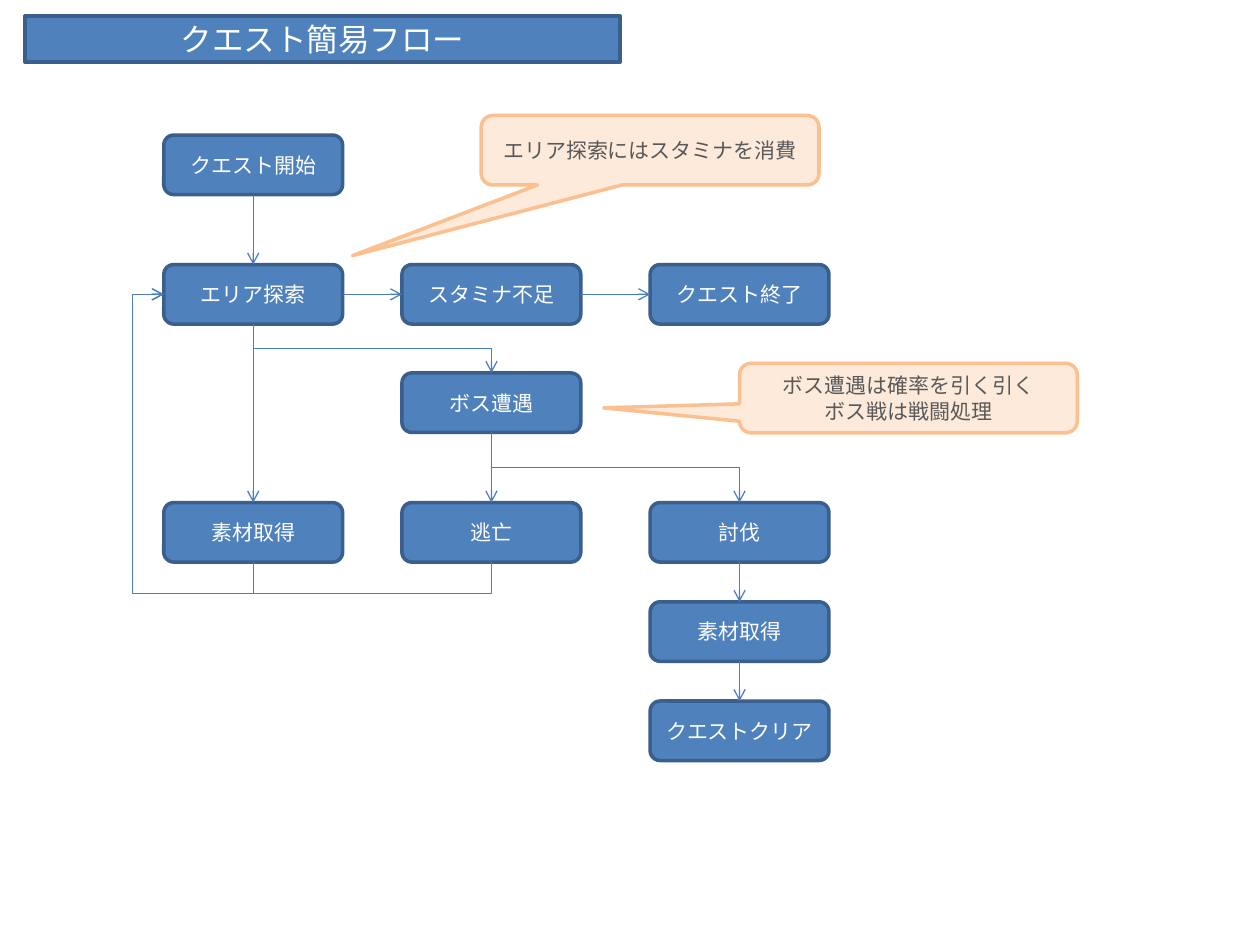
"""Build the quest flow slide."""
from lxml import etree
from pptx import Presentation
from pptx import util as u
from pptx.dml.color import RGBColor
from pptx.enum import shapes, text
from pptx.oxml import ns

Pt = u.Pt
BLUE = RGBColor(0x4F, 0x81, 0xBD)
NAVY = RGBColor(0x3A, 0x5F, 0x8C)
WIRE = RGBColor(0x4B, 0x7E, 0xBC)
PEACH = RGBColor(0xFD, 0xEA, 0xDA)
AMBER = RGBColor(0xFA, 0xC0, 0x90)
GREY = RGBColor(0x59, 0x59, 0x59)
WHITE = RGBColor(0xFF, 0xFF, 0xFF)

COLS = (93.6, 229.7, 371.5)
ROWS = (77.2, 151.2, 213.1, 287.2, 343.9, 400.6)
BOX = (102.2, 34)
GAP = Pt(18)
TOP, LEFT, LOW, RIGHT = range(4)
KIND = shapes.MSO_SHAPE
WIRES = shapes.MSO_CONNECTOR

STEPS = {
    "start": ("クエスト開始", 0, 0),
    "search": ("エリア探索", 0, 1),
    "tired": ("スタミナ不足", 1, 1),
    "end": ("クエスト終了", 2, 1),
    "boss": ("ボス遭遇", 1, 2),
    "loot": ("素材取得", 0, 3),
    "flee": ("逃亡", 1, 3),
    "kill": ("討伐", 2, 3),
    "prize": ("素材取得", 2, 4),
    "clear": ("クエストクリア", 2, 5),
}
DOWN = (("start", "search"), ("search", "loot"), ("boss", "flee"),
        ("kill", "prize"), ("prize", "clear"))
ACROSS = (("search", "tired"), ("tired", "end"))
FORKS = (("search", "boss"), ("boss", "kill"))
LOOPS = (("flee", "search"), ("loot", "search"))
NOTES = (
    ("エリア探索にはスタミナを消費", 275, 66, (-0.881, 1.517, 0.167)),
    ("ボス遭遇は確率を引く引く\nボス戦は戦闘処理", 422.6, 207.6, (-0.902, 0.141, 0.167)),
)


def apply(item, form):
    """Set attributes of an item from a dict."""
    for name, value in form.items():
        setattr(item, name, value)


def paint(shape, words, fill, edge, ink, size):
    """Fill, outline and letter a shape."""
    shape.shadow.inherit = False
    shape.fill.solid()
    shape.fill.fore_color.rgb = fill
    shape.line.color.rgb = edge
    shape.line.width = Pt(2)
    frame = shape.text_frame
    frame.text = words
    apply(frame, {"word_wrap": True, "auto_size": text.MSO_AUTO_SIZE.NONE,
                  "vertical_anchor": text.MSO_ANCHOR.MIDDLE})
    for para in frame.paragraphs:
        para.alignment = text.PP_ALIGN.CENTER
        for run in para.runs:
            apply(run.font, {"name": "Calibri", "size": Pt(size)})
            run.font.color.rgb = ink


def head(slide, words):
    """Place the title bar."""
    title = slide.shapes.title
    apply(title, {"left": Pt(14.2), "top": Pt(9.2), "width": Pt(340.2), "height": Pt(26.2)})
    paint(title, words, BLUE, NAVY, WHITE, 18)


def step(slide, words, col, row):
    """Add one step box on the grid."""
    place = map(Pt, (COLS[col], ROWS[row], *BOX))
    box = slide.shapes.add_shape(KIND.ROUNDED_RECTANGLE, *place)
    paint(box, words, BLUE, NAVY, WHITE, 12)
    return box


def note(slide, words, left, top, tip):
    """Add one callout with its tip."""
    place = map(Pt, (left, top, 193, 39.7))
    call = slide.shapes.add_shape(KIND.ROUNDED_RECTANGULAR_CALLOUT, *place)
    for i, value in enumerate(tip):
        call.adjustments[i] = value
    paint(call, words, PEACH, AMBER, GREY, 12)


def link(slide, first, out, last, into, kind=WIRES.STRAIGHT):
    """Join two boxes with an arrow."""
    wire = slide.shapes.add_connector(kind, 0, 0, 0, 0)
    wire.begin_connect(first, out)
    wire.end_connect(last, into)
    wire.line.color.rgb = WIRE
    wire.line.width = Pt(0.75)
    etree.SubElement(wire.line._get_or_add_ln(), ns.qn("a:tailEnd"), type="arrow")
    etree.SubElement(wire.element.spPr, ns.qn("a:effectLst"))
    return wire


def bend(slide, first, last, into, loop):
    """Join two boxes with an elbow that leaves downwards."""
    wire = link(slide, first, LOW, last, into, WIRES.ELBOW)
    wide = abs(wire.end_x - wire.begin_x)
    high = abs(wire.end_y - wire.begin_y)
    mid_x = (wire.begin_x + wire.end_x) // 2
    mid_y = (wire.begin_y + wire.end_y) // 2
    apply(wire, {"left": mid_x - high // 2, "top": mid_y - wide // 2,
                 "width": high, "height": wide})
    form = wire.element.spPr.find(ns.qn("a:xfrm"))
    form.attrib.pop("flipV", None)
    form.set("flipH", "1")
    form.set("rot", str((90 if loop else 270) * 60000))
    geom = wire.element.spPr.find(ns.qn("a:prstGeom"))
    geom.set("prst", "bentConnector4" if loop else "bentConnector3")
    turns = (-GAP / high, 1 + GAP / wide) if loop else (0.5,)
    guides = geom.find(ns.qn("a:avLst"))
    for i, turn in enumerate(turns, 1):
        name = f"adj{i}" if loop else "adj1"
        etree.SubElement(guides, ns.qn("a:gd"), name=name, fmla=f"val {round(turn * 100000)}")


def main():
    """Build and save the slide."""
    deck = Presentation()
    apply(deck, {"slide_width": Pt(720), "slide_height": Pt(540)})
    slide = deck.slides.add_slide(deck.slide_layouts[5])
    head(slide, "クエスト簡易フロー")
    boxes = {key: step(slide, *data) for key, data in STEPS.items()}
    for a, b in DOWN:
        link(slide, boxes[a], LOW, boxes[b], TOP)
    for a, b in ACROSS:
        link(slide, boxes[a], RIGHT, boxes[b], LEFT)
    for a, b in FORKS:
        bend(slide, boxes[a], boxes[b], TOP, False)
    for a, b in LOOPS:
        bend(slide, boxes[a], boxes[b], LEFT, True)
    for data in NOTES:
        note(slide, *data)
    deck.save("out.pptx")


main()
